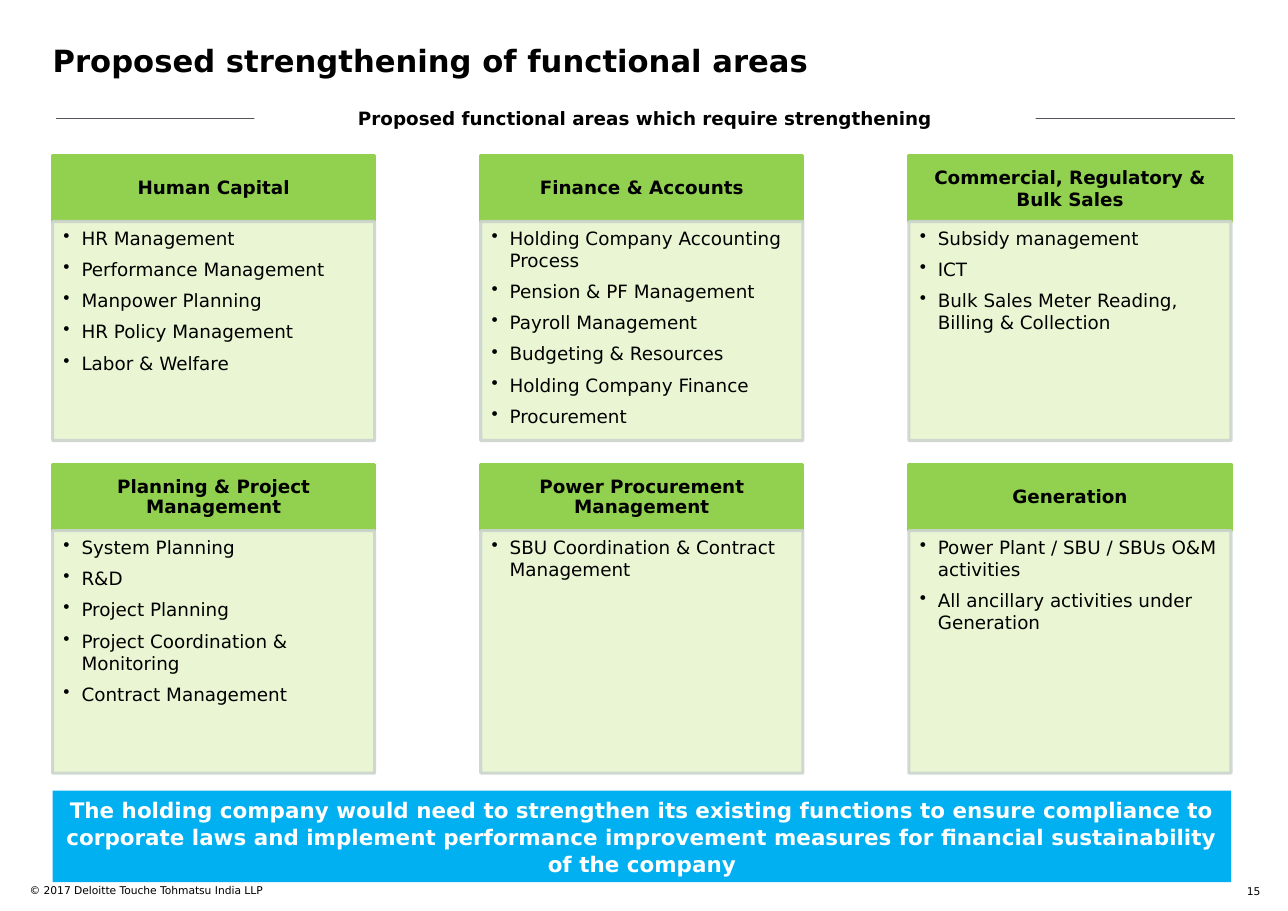
from dataclasses import dataclass

from pptx import Presentation
from pptx.dml.color import RGBColor
from pptx.enum.shapes import MSO_CONNECTOR, MSO_SHAPE
from pptx.enum.text import MSO_ANCHOR, PP_ALIGN
from pptx.oxml.ns import qn
from pptx.shapes.autoshape import Shape
from pptx.slide import Slide
from pptx.util import Pt

LEFT, CENTER, RIGHT = PP_ALIGN.LEFT, PP_ALIGN.CENTER, PP_ALIGN.RIGHT
TOP, MIDDLE = MSO_ANCHOR.TOP, MSO_ANCHOR.MIDDLE
RECTANGLE = MSO_SHAPE.RECTANGLE
STRAIGHT = MSO_CONNECTOR.STRAIGHT

FONT = "DejaVu Sans"
BLACK, WHITE, GREEN, PALE_GREEN = "000000", "FFFFFF", "92D050", "E8F6CF"
GREY, RULE_GREY, BLUE = "CCD4CE", "53565A", "00B0F0"

GRID_LEFT, COLUMN_STEP, CARD_WIDTH = 34.4, 279.8, 210.5
CONTENT_WIDTH = 2 * COLUMN_STEP + CARD_WIDTH
HEADING_HEIGHT = 43.4
BULLET_INDENT = 11.8


@dataclass(frozen=True)
class Area:
    heading: str
    functions: tuple[str, ...]
    heading_spacing: float = 0.9


@dataclass(frozen=True)
class Row:
    top: float
    body_height: float
    areas: tuple[Area, ...]


ROWS = (
    Row(101.4, 143.2, (
        Area("Human Capital", (
            "HR Management", "Performance Management", "Manpower Planning",
            "HR Policy Management", "Labor & Welfare")),
        Area("Finance & Accounts", (
            "Holding Company Accounting Process", "Pension & PF Management",
            "Payroll Management", "Budgeting & Resources",
            "Holding Company Finance", "Procurement")),
        Area("Commercial, Regulatory & Bulk Sales", (
            "Subsidy management", "ICT",
            "Bulk Sales Meter Reading, Billing & Collection"), 1.0),
    )),
    Row(303.4, 158.6, (
        Area("Planning & Project Management", (
            "System Planning", "R&D", "Project Planning",
            "Project Coordination & Monitoring", "Contract Management")),
        Area("Power Procurement Management", (
            "SBU Coordination & Contract Management",)),
        Area("Generation", (
            "Power Plant / SBU / SBUs O&M activities",
            "All ancillary activities under Generation")),
    )),
)


def color(value: str) -> RGBColor:
    return RGBColor.from_string(value)


def write(box: Shape, *lines: str, size: float = 12, bold: bool = False,
          ink: str = BLACK, align: PP_ALIGN = LEFT, anchor: MSO_ANCHOR = TOP,
          spacing: float = 1.0, gap: float = 0, bullets: bool = False,
          margins: tuple[float, float] = (0, 0)) -> None:
    """Fill a box with one paragraph per line; margins are (sides, top and bottom)."""
    frame = box.text_frame
    frame.word_wrap = True
    frame.vertical_anchor = anchor
    frame.margin_left = frame.margin_right = Pt(margins[0])
    frame.margin_top = frame.margin_bottom = Pt(margins[1])
    for index, line in enumerate(lines):
        para = frame.add_paragraph() if index else frame.paragraphs[0]
        if bullets:
            add_bullet(para)
        para.alignment = align
        para.line_spacing = spacing
        para.space_before = Pt(gap if index else 0)
        span = para.add_run()
        span.text = line
        span.font.name = FONT
        span.font.size = Pt(size)
        span.font.bold = bold
        span.font.color.rgb = color(ink)


def add_bullet(para) -> None:
    properties = para._p.get_or_add_pPr()
    indent = Pt(BULLET_INDENT)
    properties.set("marL", str(indent))
    properties.set("indent", str(-indent))
    bullet = properties.makeelement(qn("a:buChar"), {"char": "•"})
    properties.append(bullet)


def add_text(page: Slide, left: float, top: float, width: float,
             height: float, text: str, **text_format) -> None:
    box = page.shapes.add_textbox(Pt(left), Pt(top), Pt(width), Pt(height))
    write(box, text, **text_format)


def add_panel(page: Slide, left: float, top: float, width: float,
              height: float, fill: str, outline: str | None = None) -> Shape:
    panel = page.shapes.add_shape(
        RECTANGLE, Pt(left), Pt(top), Pt(width), Pt(height))
    panel.shadow.inherit = False
    panel.fill.solid()
    panel.fill.fore_color.rgb = color(fill)
    if outline:
        panel.line.color.rgb = color(outline)
        panel.line.width = Pt(2)
    else:
        panel.line.fill.background()
    return panel


def make_translucent(panel: Shape, percent: int) -> None:
    """Set the opacity of both fill and outline."""
    for element in panel._element.spPr.iter(qn("a:srgbClr")):
        alpha = element.makeelement(qn("a:alpha"), {"val": str(percent * 1000)})
        element.append(alpha)


def add_card(page: Slide, left: float, row: Row, area: Area) -> None:
    heading = add_panel(page, left, row.top, CARD_WIDTH, HEADING_HEIGHT,
                        GREEN, GREEN)
    write(heading, area.heading, bold=True, align=CENTER, anchor=MIDDLE,
          spacing=area.heading_spacing, margins=(6.5, 3.6))
    body = add_panel(page, left, row.top + HEADING_HEIGHT, CARD_WIDTH,
                     row.body_height, PALE_GREEN, GREY)
    make_translucent(body, 90)
    write(body, *area.functions, gap=6, bullets=True, margins=(7.2, 3.6))


def add_rule(page: Slide, left: float, right: float, y: float) -> None:
    rule = page.shapes.add_connector(
        STRAIGHT, Pt(left), Pt(y), Pt(right), Pt(y))
    rule.line.color.rgb = color(RULE_GREY)
    rule.line.width = Pt(0.75)
    properties = rule._element.spPr
    properties.append(properties.makeelement(qn("a:effectLst"), {}))


def main() -> None:
    deck = Presentation()
    deck.slide_width, deck.slide_height = Pt(841.68), Pt(595.44)
    page = deck.slides.add_slide(deck.slide_layouts[6])

    add_text(page, 19.4, 578, 369.4, 17, size=7,
             text="© 2017 Deloitte Touche Tohmatsu India LLP")
    add_text(page, 802, 578, 21.6, 8.6, "15", size=7, align=RIGHT)
    add_text(page, GRID_LEFT, 27.4, CONTENT_WIDTH, 28.8, size=20, bold=True,
             text="Proposed strengthening of functional areas")

    add_rule(page, 36.7, 807, 77.2)
    subtitle = add_panel(page, 166.3, 69.8, 510.5, 14.4, WHITE)
    write(subtitle, "Proposed functional areas which require strengthening",
          bold=True, align=CENTER)

    for row in ROWS:
        for column, area in enumerate(row.areas):
            add_card(page, GRID_LEFT + column * COLUMN_STEP, row, area)

    banner = add_panel(page, GRID_LEFT, 516.8, CONTENT_WIDTH, 59.8, BLUE)
    write(banner,
          "The holding company would need to strengthen its existing functions "
          "to ensure compliance to corporate laws and implement performance "
          "improvement measures for financial sustainability of the company",
          size=14, bold=True, ink=WHITE, align=CENTER, anchor=MIDDLE,
          spacing=1.06, margins=(7.2, 7.2))

    deck.save("out.pptx")


if __name__ == "__main__":
    main()
